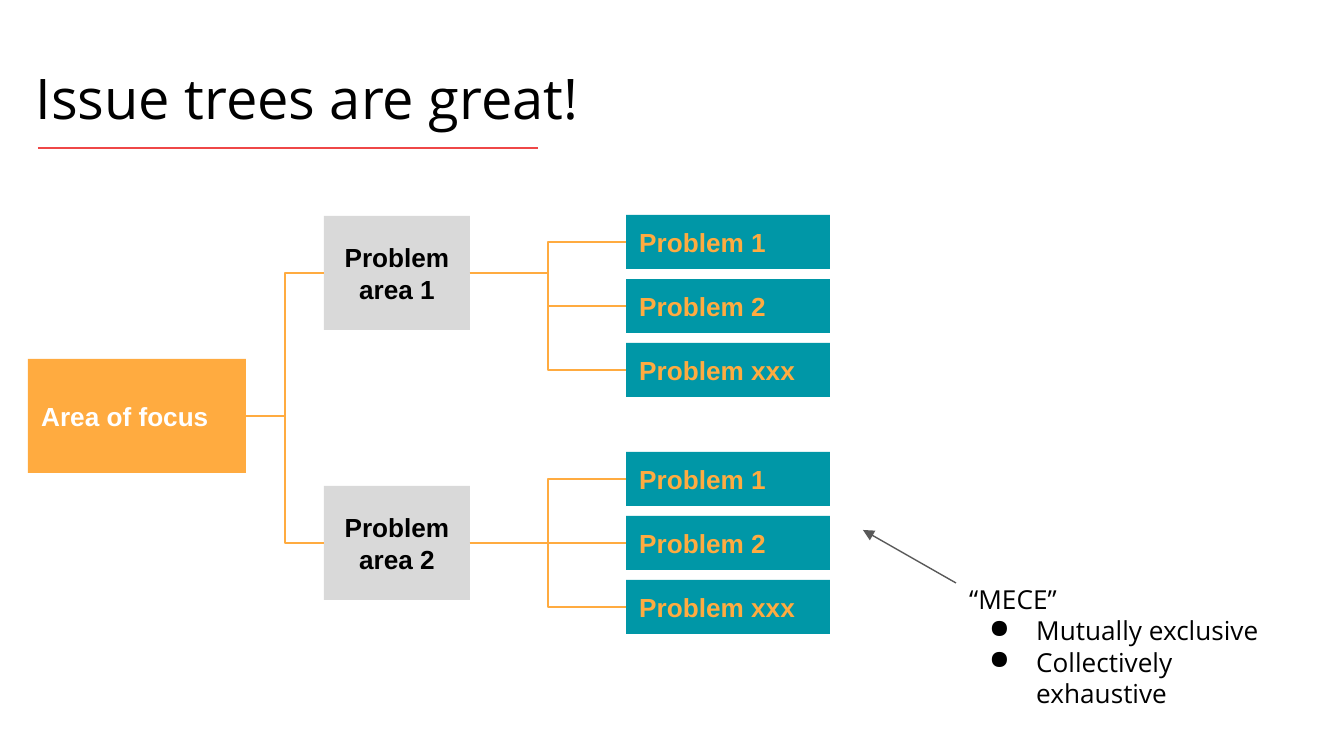
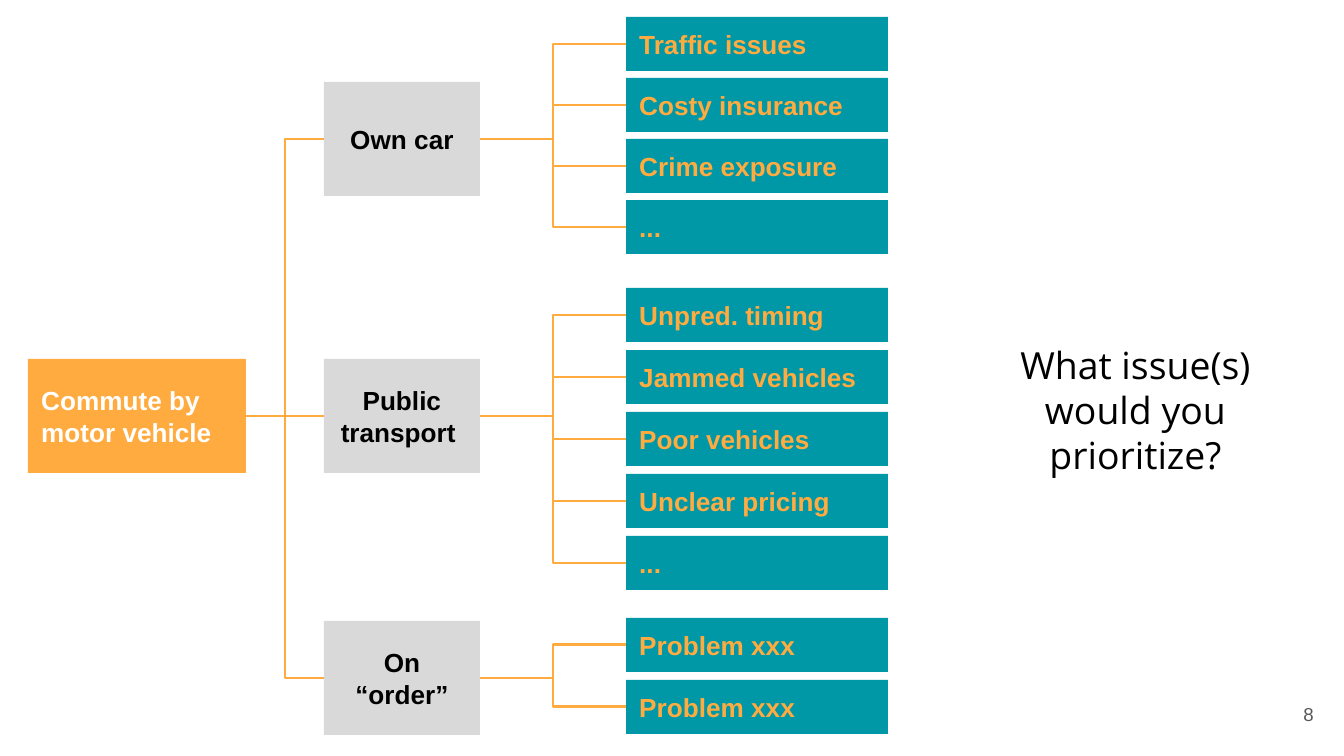
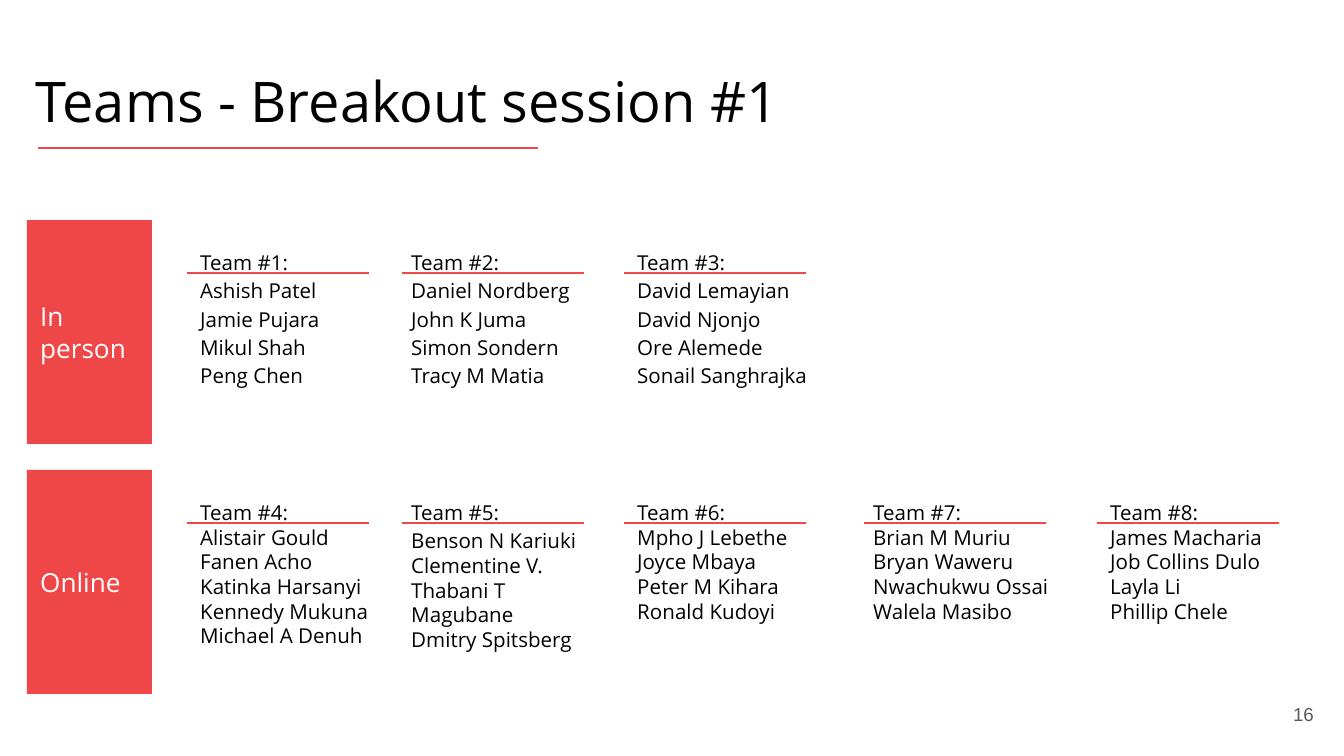
"""Build three slides: two issue trees and a list of breakout teams."""
from pptx import Presentation
from pptx import util as u
from pptx.dml.color import RGBColor
from pptx.enum import shapes, text
from pptx.oxml import parse_xml
from pptx.oxml.ns import nsdecls, qn

SCALE = 9144000 / 1344
SLIDE_SIZE = (1344, 756)
COLORS = {
    "black": "000000",
    "white": "FFFFFF",
    "gray": "D9D9D9",
    "dark": "595959",
    "orange": "FFAB40",
    "teal": "0097A7",
    "red": "EF4747",
}
HEADING_FONT = "Open Sans"
BOX_FONT = "Arial"
LOOSE = 1.15

GENERIC_TREE = {
    "root": "Area of focus",
    "area_width": 146,
    "leaf_width": 204,
    "areas": [
        ("Problem area 1", 216, 215, 64, ["Problem 1", "Problem 2", "Problem xxx"]),
        ("Problem area 2", 486, 452, 64, ["Problem 1", "Problem 2", "Problem xxx"]),
    ],
}
COMMUTE_TREE = {
    "root": "Commute by motor vehicle",
    "area_width": 156,
    "leaf_width": 262,
    "areas": [
        ("Own car", 82, 17, 61,
         ["Traffic issues", "Costy insurance", "Crime exposure", "..."]),
        ("Public transport ", 359, 288, 62,
         ["Unpred. timing", "Jammed vehicles", "Poor vehicles", "Unclear pricing", "..."]),
        ("On “order”", 621, 618, 62, ["Problem xxx", "Problem xxx"]),
    ],
}
MECE = ["“MECE”", "Mutually exclusive", "Collectively exhaustive"]

TEAM_COLUMNS = [(187, 187), (398, 402), (624, 624), (860, 864), (1097, 1097)]
TEAM_ROWS = [
    ("In person", [
        (211, 5, ["Ashish Patel", "Jamie Pujara", "Mikul Shah", "Peng Chen"]),
        (211, 5, ["Daniel Nordberg", "John K Juma", "Simon Sondern", "Tracy M Matia"]),
        (228, 5, ["David Lemayian", "David Njonjo", "Ore Alemede", "Sonail Sanghrajka"]),
    ]),
    ("Online", [
        (211, 1, ["Alistair Gould", "Fanen Acho", "Katinka Harsanyi", "Kennedy Mukuna",
                  "Michael A Denuh"]),
        (228, 2, ["Benson N Kariuki", "Clementine V.", "Thabani T Magubane",
                  "Dmitry Spitsberg"]),
        (228, 1, ["Mpho J Lebethe", "Joyce Mbaya", "Peter M Kihara", "Ronald Kudoyi"]),
        (211, 1, ["Brian M Muriu", "Bryan Waweru", "Nwachukwu Ossai", "Walela Masibo"]),
        (228, 1, ["James Macharia", "Job Collins Dulo", "Layla Li", "Phillip Chele"]),
    ]),
]


def px(length):
    """Turn px into EMU."""
    return u.Emu(round(length * SCALE))


def color(name):
    """Return a named colour."""
    return RGBColor.from_string(COLORS[name])


def write(shape, lines, size=14, font=HEADING_FONT, fill="black", bold=False,
          align="LEFT", anchor="TOP", inset=0.1, loose=0):
    """Put lines into a shape; the first `loose` lines get wider spacing."""
    frame = shape.text_frame
    frame.word_wrap = True
    frame.auto_size = text.MSO_AUTO_SIZE.NONE
    frame.vertical_anchor = text.MSO_ANCHOR[anchor]
    frame.margin_left = frame.margin_right = u.Inches(0.1)
    frame.margin_top = frame.margin_bottom = u.Inches(inset)
    for index, line in enumerate(lines):
        paragraph = frame.add_paragraph() if index else frame.paragraphs[0]
        paragraph.alignment = text.PP_ALIGN[align]
        if index < loose:
            paragraph.line_spacing = LOOSE
        run = paragraph.add_run()
        run.text = line
        run.font.size = u.Pt(size)
        run.font.name = font
        run.font.bold = bold
        run.font.color.rgb = color(fill)
    return shape


def add_text(slide, place, lines, **style):
    """Add a text box."""
    return write(slide.shapes.add_textbox(*map(px, place)), lines, **style)


def add_box(slide, place, label, back, **style):
    """Add a filled rectangle with a label."""
    shape = slide.shapes.add_shape(shapes.MSO_SHAPE.RECTANGLE, *map(px, place))
    shape.shadow.inherit = False
    shape.fill.solid()
    shape.fill.fore_color.rgb = color(back)
    shape.line.fill.background()
    return write(shape, [label], anchor="MIDDLE", **style)


def add_line(slide, points, stroke, width=0.75, kind="STRAIGHT", arrow=False):
    """Add a connector between two points."""
    line = slide.shapes.add_connector(shapes.MSO_CONNECTOR[kind], *map(px, points))
    line.line.color.rgb = color(stroke)
    line.line.width = u.Pt(width)
    properties = line._element.spPr
    if arrow:
        properties.find(qn("a:ln")).append(
            parse_xml(f'<a:tailEnd {nsdecls("a")} type="triangle"/>'))
    properties.append(parse_xml(f'<a:effectLst {nsdecls("a")}/>'))
    return line


def add_branch(slide, parent, child):
    """Join the right side of a parent to the left side of a child."""
    branch = add_line(slide, (0, 0, 0, 0), "orange", width=1.5, kind="ELBOW")
    branch.begin_connect(parent, 3)
    branch.end_connect(child, 1)


def add_bullet(paragraph):
    """Give a paragraph a round bullet and a hanging indent."""
    properties = paragraph._p.get_or_add_pPr()
    properties.set("marL", str(px(67)))
    properties.set("indent", str(px(-47)))
    properties.append(parse_xml(
        f'<a:buClr {nsdecls("a")}><a:srgbClr val="{COLORS["black"]}"/></a:buClr>'))
    properties.append(parse_xml(f'<a:buChar {nsdecls("a")} char="●"/>'))


def add_title(slide, label, top):
    """Place the title and the rule under it."""
    title = slide.shapes.title
    title.left, title.top, title.width, title.height = map(px, (22, top, 1232, 110))
    write(title, [label], size=30, loose=1)
    add_line(slide, (38, 148, 538, 148), "red")


def add_page_number(slide, number):
    """Place the page number at the bottom right."""
    add_text(slide, (1246, 685, 81, 58), [number], size=10, font=BOX_FONT, fill="dark",
             align="RIGHT", anchor="MIDDLE")


def add_tree(slide, tree):
    """Draw the root, its areas and their problems."""
    style = {"font": BOX_FONT, "bold": True, "inset": 0.05}
    root = add_box(slide, (28, 359, 218, 114), tree["root"], "orange", fill="white", **style)
    for label, top, leaf_top, step, leaves in tree["areas"]:
        area = add_box(slide, (324, top, tree["area_width"], 114), label, "gray",
                       align="CENTER", **style)
        add_branch(slide, root, area)
        for index, problem in enumerate(leaves):
            place = (626, leaf_top + index * step, tree["leaf_width"], 54)
            leaf = add_box(slide, place, problem, "teal", fill="orange", **style)
            add_branch(slide, area, leaf)


def add_teams(slide):
    """Draw one band per row, with its teams beside it."""
    number = 1
    for row, (label, teams) in enumerate(TEAM_ROWS):
        top = 220 + row * 250
        add_box(slide, (27, top, 125, 224), label, "red", fill="white")
        for (left, rule), (width, loose, members) in zip(TEAM_COLUMNS, teams):
            add_line(slide, (rule, top + 53, rule + 182, top + 53), "red")
            add_text(slide, (left, top + 13, width, 210), [f"Team #{number}:", *members],
                     size=11, loose=loose)
            number += 1


def main():
    """Build and save the presentation."""
    presentation = Presentation()
    presentation.slide_width, presentation.slide_height = map(px, SLIDE_SIZE)
    title_only, blank = presentation.slide_layouts[5], presentation.slide_layouts[6]

    slide = presentation.slides.add_slide(title_only)
    add_title(slide, "Issue trees are great!", 40)
    add_tree(slide, GENERIC_TREE)
    add_line(slide, (956, 583, 863, 530), "dark", arrow=True)
    note = add_text(slide, (956, 570, 362, 94), MECE)
    for paragraph in note.text_frame.paragraphs[1:]:
        add_bullet(paragraph)

    slide = presentation.slides.add_slide(blank)
    add_page_number(slide, "8")
    add_tree(slide, COMMUTE_TREE)
    add_text(slide, (997, 329, 277, 155), ["What issue(s) would you prioritize?"],
             size=20, align="CENTER")

    slide = presentation.slides.add_slide(title_only)
    add_page_number(slide, "16")
    add_title(slide, "Teams - Breakout session #1", 43)
    add_teams(slide)

    presentation.save("out.pptx")


if __name__ == "__main__":
    main()
